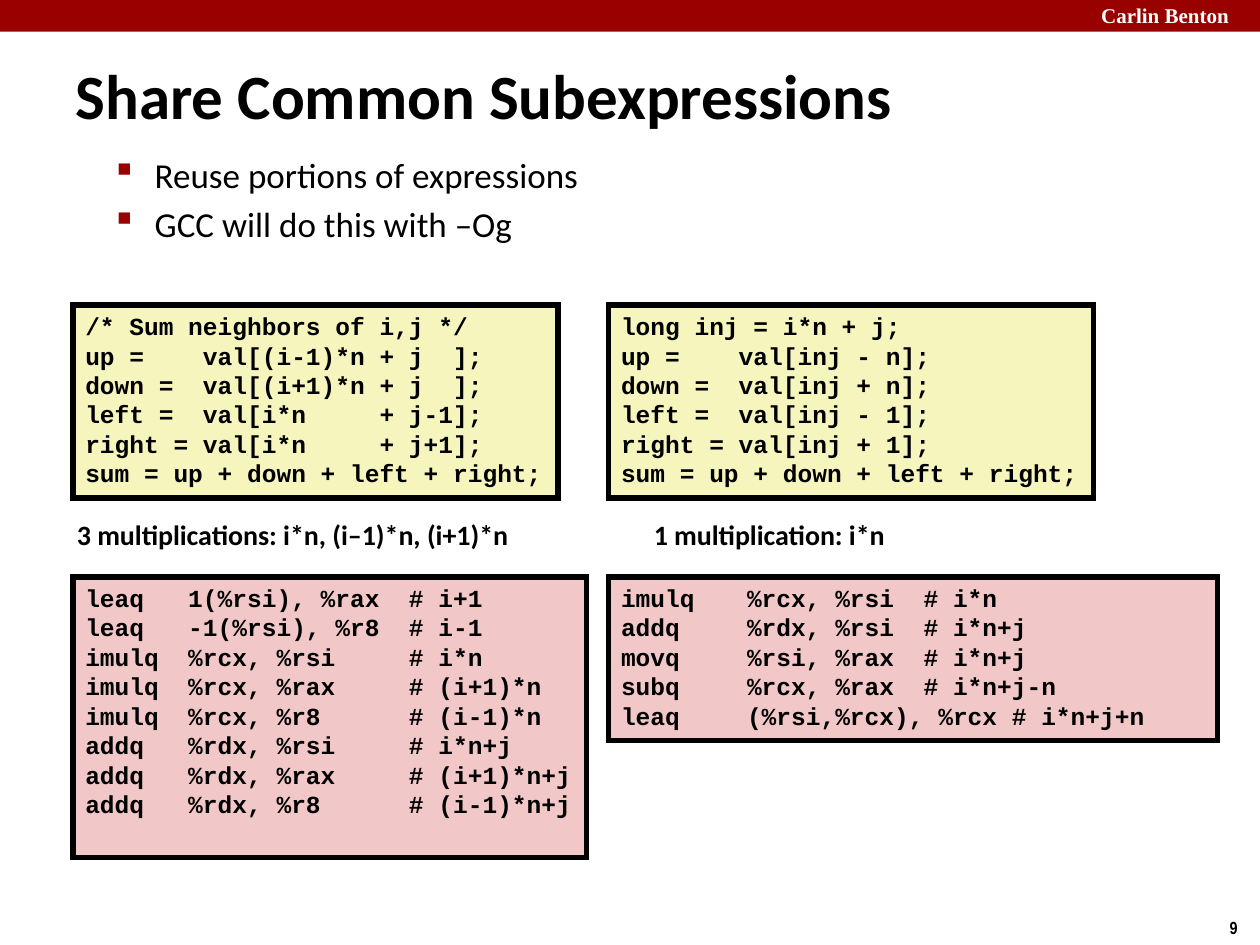
from dataclasses import dataclass

from lxml import etree
from pptx import Presentation
from pptx.dml.color import RGBColor
from pptx.enum.shapes import MSO_SHAPE
from pptx.enum.text import MSO_ANCHOR, PP_ALIGN
from pptx.oxml.ns import qn
from pptx.util import Cm, Pt

RECTANGLE = MSO_SHAPE.RECTANGLE
LEFT = PP_ALIGN.LEFT
TOP, MIDDLE = MSO_ANCHOR.TOP, MSO_ANCHOR.MIDDLE

COLORS = {
    "banner": "990000",
    "white": "FFFFFF",
    "black": "000000",
    "source": "F6F5BD",
    "assembly": "F1C7C7",
}
LEFT_COLUMN, RIGHT_COLUMN = 1.47, 12.27
SOURCE_TOP, CAPTION_TOP, ASSEMBLY_TOP = 6.15, 10.31, 11.63
OPERAND_TAB = 2.54


@dataclass
class Label:
    text: str
    left: float
    top: float
    width: float
    height: float
    font: str
    size: int
    color: str = "black"
    bold: bool = True
    wrap: bool = False


@dataclass
class CodeBox:
    code: str
    left: float
    top: float
    width: float
    height: float
    fill: str


LABELS = [
    Label("Carlin Benton", 21.95, -0.08, 3.63, 0.76, "Times New Roman", 12, "white"),
    Label("9", 24.54, 18.36, 0.86, 0.69, "Arial Narrow", 10),
    Label("3 multiplications: i*n, (i–1)*n, (i+1)*n",
          1.3, CAPTION_TOP, 9.32, 0.94, "Calibri", 16),
    Label("1 multiplication: i*n", 12.93, CAPTION_TOP, 5.23, 0.94, "Calibri", 16),
]

CODE_BOXES = [
    CodeBox("""/* Sum neighbors of i,j */
up =    val[(i-1)*n + j  ];
down =  val[(i+1)*n + j  ];
left =  val[i*n     + j-1];
right = val[i*n     + j+1];
sum = up + down + left + right;""", LEFT_COLUMN, SOURCE_TOP, 9.78, 3.89, "source"),
    CodeBox("""long inj = i*n + j;
up =    val[inj - n];
down =  val[inj + n];
left =  val[inj - 1];
right = val[inj + 1];
sum = up + down + left + right;""", RIGHT_COLUMN, SOURCE_TOP, 9.78, 3.89, "source"),
    CodeBox("""leaq   1(%rsi), %rax  # i+1
leaq   -1(%rsi), %r8  # i-1
imulq  %rcx, %rsi     # i*n
imulq  %rcx, %rax     # (i+1)*n
imulq  %rcx, %r8      # (i-1)*n
addq   %rdx, %rsi     # i*n+j
addq   %rdx, %rax     # (i+1)*n+j
addq   %rdx, %r8      # (i-1)*n+j""", LEFT_COLUMN, ASSEMBLY_TOP, 10.36, 5.66, "assembly"),
    CodeBox("""imulq\t%rcx, %rsi  # i*n
addq\t%rdx, %rsi  # i*n+j
movq\t%rsi, %rax  # i*n+j
subq\t%rcx, %rax  # i*n+j-n
leaq\t(%rsi,%rcx), %rcx # i*n+j+n""", RIGHT_COLUMN, ASSEMBLY_TOP, 12.27, 3.3, "assembly"),
]


def rgb(name: str) -> RGBColor:
    return RGBColor.from_string(COLORS[name])


def format_text(frame, font: str, size: int, color: str = "black", bold: bool = True) -> None:
    for paragraph in frame.paragraphs:
        paragraph.alignment = LEFT
        paragraph.font.name = font
        paragraph.font.size = Pt(size)
        paragraph.font.bold = bold
        paragraph.font.color.rgb = rgb(color)


def add_label(slide, label: Label):
    box = slide.shapes.add_textbox(
        Cm(label.left), Cm(label.top), Cm(label.width), Cm(label.height))
    frame = box.text_frame
    frame.word_wrap = label.wrap
    frame.text = label.text
    format_text(frame, label.font, label.size, label.color, label.bold)
    return frame


def add_rectangle(slide, left: float, top: float, width: float, height: float, fill: str):
    rectangle = slide.shapes.add_shape(RECTANGLE, Cm(left), Cm(top), Cm(width), Cm(height))
    rectangle.shadow.inherit = False
    rectangle.fill.solid()
    rectangle.fill.fore_color.rgb = rgb(fill)
    return rectangle


def add_tab_stop(paragraph, position: float) -> None:
    properties = paragraph._p.get_or_add_pPr()
    stops = etree.Element(qn("a:tabLst"))
    etree.SubElement(stops, qn("a:tab"), pos=str(Cm(position)), algn="l")
    properties.find(qn("a:defRPr")).addprevious(stops)


def add_code_box(slide, box: CodeBox) -> None:
    panel = add_rectangle(slide, box.left, box.top, box.width, box.height, box.fill)
    panel.line.color.rgb = rgb("black")
    panel.line.width = Pt(3)
    outline = panel._element.spPr.find(qn("a:ln"))
    etree.SubElement(outline, qn("a:miter"), lim="800000")
    frame = panel.text_frame
    frame.word_wrap = True
    frame.vertical_anchor = TOP
    frame.text = box.code
    format_text(frame, "Courier New", 14)
    for line in frame.paragraphs:
        if "\t" in line.text:
            add_tab_stop(line, OPERAND_TAB)


def add_bullet(paragraph) -> None:
    paragraph.level = 1
    paragraph.space_before = Pt(4)
    properties = paragraph._p.get_or_add_pPr()
    properties.set("marL", str(Cm(2.06)))
    properties.set("indent", str(Cm(-0.79)))
    color = etree.SubElement(properties, qn("a:buClr"))
    etree.SubElement(color, qn("a:srgbClr"), val=COLORS["banner"])
    etree.SubElement(properties, qn("a:buSzPct"), val="110000")
    # The section sign is a small square in this symbol font
    etree.SubElement(properties, qn("a:buFont"), typeface="Wingdings", charset="2")
    etree.SubElement(properties, qn("a:buChar"), char="§")
    # Bullet settings come before the default run properties
    properties.append(properties.find(qn("a:defRPr")))


presentation = Presentation()
presentation.slide_width, presentation.slide_height = Cm(25.4), Cm(19.05)
slide = presentation.slides.add_slide(presentation.slide_layouts[5])

# Banner
banner = add_rectangle(slide, 0, 0, 25.4, 0.64, "banner")
banner.line.fill.background()

# Title
title = slide.shapes.title
title.left, title.top, title.width, title.height = Cm(1.27), Cm(0.43), Cm(23.29), Cm(2.95)
title.text_frame.text = "Share Common Subexpressions"
title.text_frame.vertical_anchor = MIDDLE
format_text(title.text_frame, "Calibri", 36)

# Key points
points = add_label(slide, Label(
    "Reuse portions of expressions\nGCC will do this with –Og",
    0.81, 2.97, 23.09, 14.94, "Calibri", 20, bold=False, wrap=True))
for point in points.paragraphs:
    add_bullet(point)

# Code panels
for code_box in CODE_BOXES:
    add_code_box(slide, code_box)

# Banner name, page number and captions
for label in LABELS:
    add_label(slide, label)

presentation.save("out.pptx")
